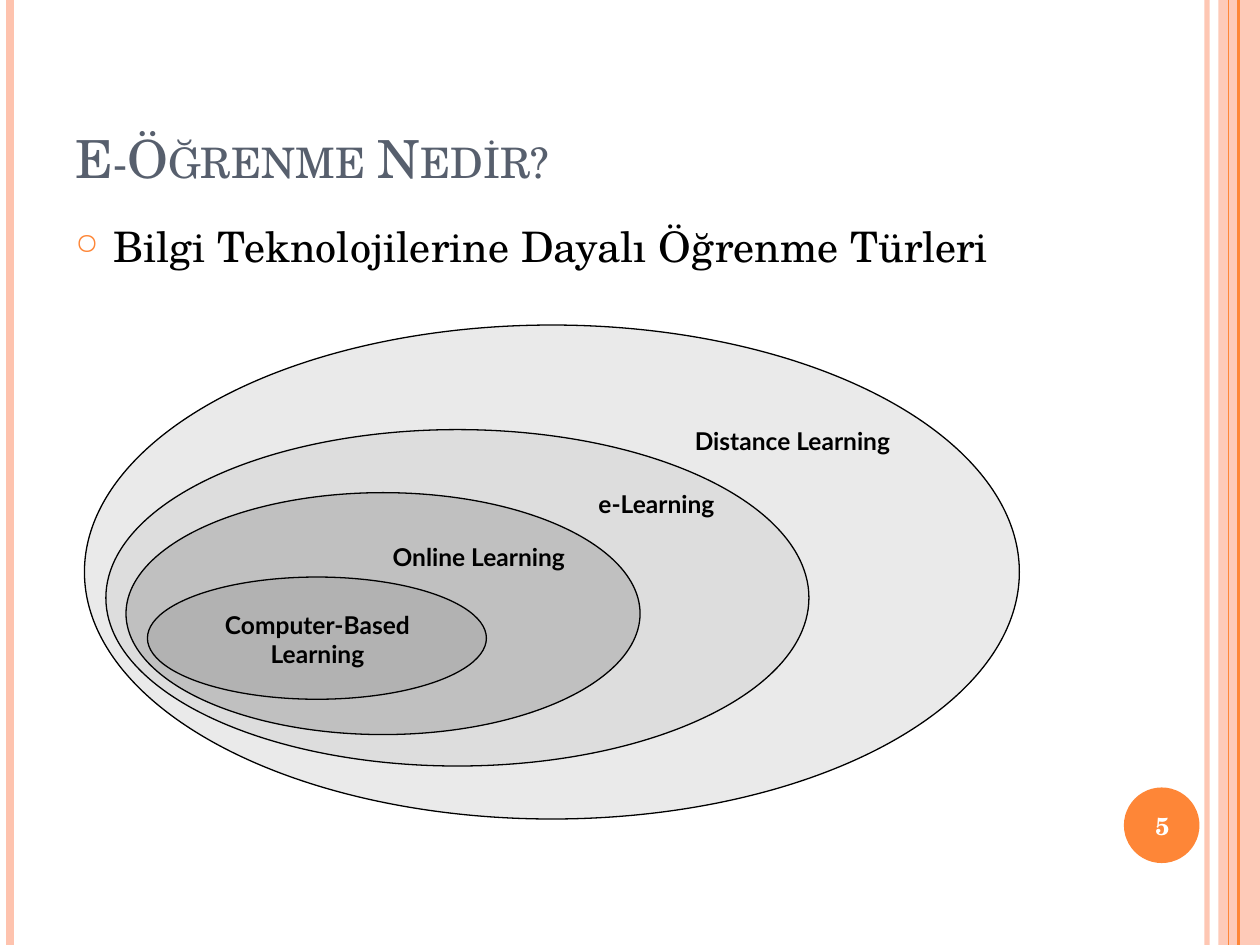
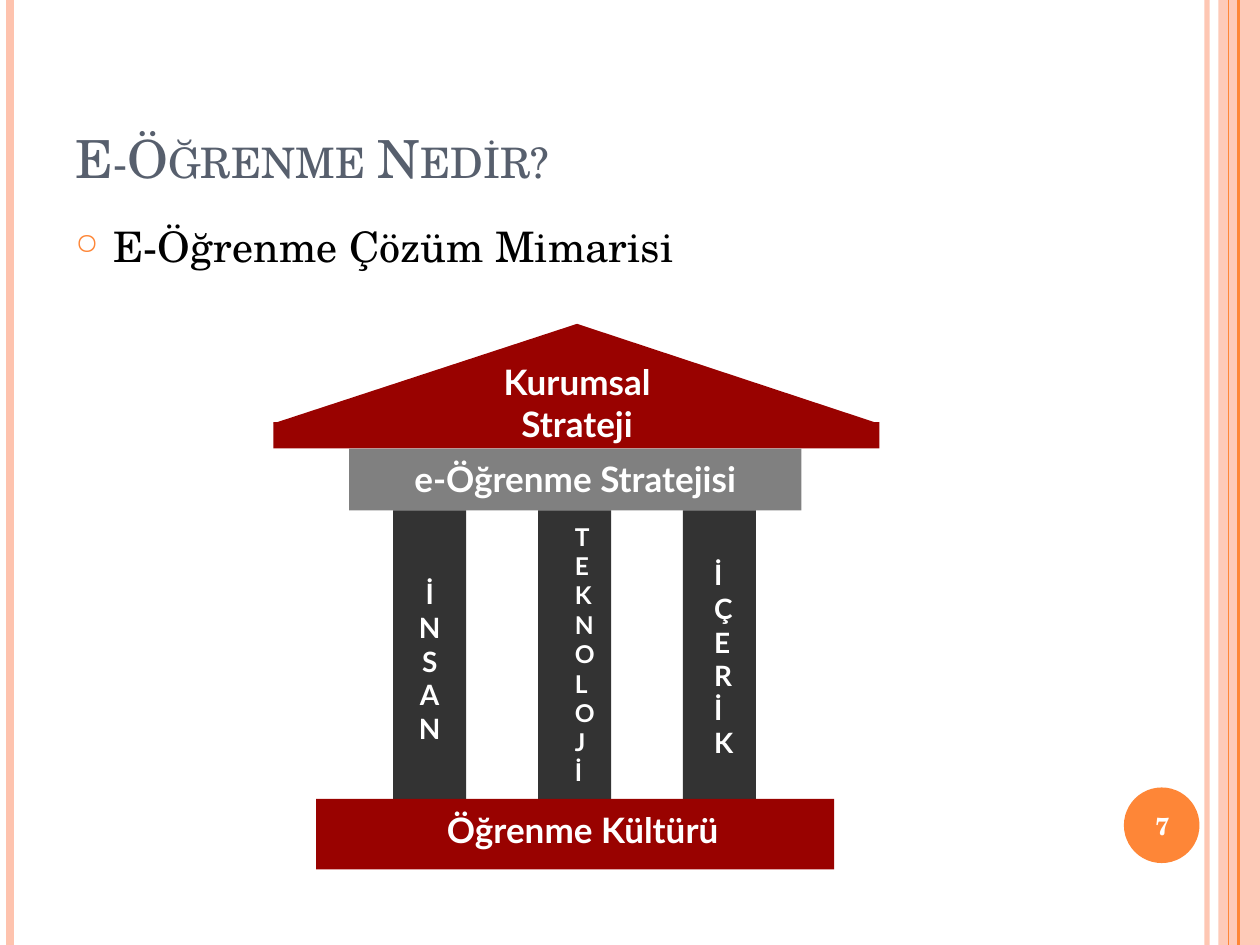
from lxml import etree
from pptx import Presentation
from pptx.dml.color import RGBColor
from pptx.enum import lang, shapes, text
from pptx.oxml import ns

PX = 9144
WIDTH, HEIGHT = 1000, 750
SERIF, SANS = "TeX Gyre Schola", "Lato"
ORANGE, PEACH, SLATE = "FE8637", "FEC3AE", "575F6D"
BLACK, WHITE, RED, GREY, CHARCOAL = "000000", "FFFFFF", "990200", "808080", "333333"
LEFT, CENTER = text.PP_ALIGN.LEFT, text.PP_ALIGN.CENTER
TOP, MIDDLE, BOTTOM = text.MSO_ANCHOR.TOP, text.MSO_ANCHOR.MIDDLE, text.MSO_ANCHOR.BOTTOM
OVAL, RECTANGLE = shapes.MSO_SHAPE.OVAL, shapes.MSO_SHAPE.RECTANGLE


def paint(fill, colour, opacity=100):
    fill.solid()
    fill.fore_color.rgb = RGBColor.from_string(colour)
    if opacity < 100:
        swatch = fill._xPr.find(".//" + ns.qn("a:srgbClr"))
        etree.SubElement(swatch, ns.qn("a:alpha"), val=str(opacity * 1000))


def write(page, bounds, words, size, colour, font=SANS, bold=True, align=CENTER, anchor=TOP):
    box = page.shapes.add_textbox(*[length * PX for length in bounds])
    box.text_frame.word_wrap = True
    box.text_frame.vertical_anchor = anchor
    para = box.text_frame.paragraphs[0]
    para.alignment = align
    for index, line in enumerate(words.split("\n")):
        if index:
            para.add_line_break()
        span = para.add_run()
        span.text = line
        span.font.name = font
        span.font.size = size * 12700
        span.font.bold = bold
        span.font.language_id = lang.MSO_LANGUAGE_ID.TURKISH
        paint(span.font.fill, colour)
    return para


learning_types = [
    (OVAL, (67, 258, 742, 392), "EAEAEA", (525, 333, 208, 33), "Distance Learning", 14, CENTER),
    (OVAL, (84, 341, 558, 267), "DDDDDD", (450, 383, 142, 33), "e-Learning", 14, CENTER),
    (OVAL, (100, 391, 408, 192), "C0C0C0", (284, 425, 192, 33), "Online Learning", 14, CENTER),
    (OVAL, (117, 458, 269, 97), "B2B2B2", (156, 479, 192, 57), "Computer-Based\nLearning", 14, CENTER),
]
temple = [
    (RECTANGLE, (217, 335, 481, 21), RED, (364, 281, 188, 77), "Kurumsal Strateji", 20, CENTER),
    (RECTANGLE, (277, 356, 359, 49), GREY, (294, 358, 325, 44), "e-Öğrenme Stratejisi", 20, CENTER),
]
pillars = [
    ((322, 453, 38, 182), "İNSAN", 16, CENTER),
    ((447, 409, 19, 224), "TEKNOLOJİ", 14, CENTER),
    ((557, 438, 31, 204), "İÇERİK", 16, LEFT),
]
for index, label in enumerate(pillars):
    temple.append((RECTANGLE, (312 + 115 * index, 405, 58, 229), CHARCOAL, *label))
temple.append((RECTANGLE, (251, 634, 411, 56), RED, (319, 637, 287, 44), "Öğrenme Kültürü", 20, CENTER))

topics = [
    ("5", "Bilgi Teknolojilerine Dayalı Öğrenme Türleri", learning_types, BLACK, None),
    ("7", "E-Öğrenme Çözüm Mimarisi", temple, None, [(458, 257), (217, 336), (697, 336)]),
]
bands = [
    (958, PEACH, 3, 93),
    (8, PEACH, 4.5, 100),
    (983, ORANGE, 1.5, 100),
    (975, ORANGE, 0.75, 100),
]

deck = Presentation()
deck.slide_width, deck.slide_height = WIDTH * PX, HEIGHT * PX

for number, topic, pieces, outline, roof in topics:
    page = deck.slides.add_slide(deck.slide_layouts[6])

    margin = page.shapes.add_shape(RECTANGLE, 967 * PX, 0, 33 * PX, HEIGHT * PX)
    badge = page.shapes.add_shape(OVAL, 892 * PX, 625 * PX, 60 * PX, 60 * PX)
    for shape, colour, opacity in [(margin, PEACH, 87), (badge, ORANGE, 100)]:
        shape.shadow.inherit = False
        shape.line.fill.background()
        paint(shape.fill, colour, opacity)

    for x, colour, weight, opacity in bands:
        band = page.shapes.add_connector(shapes.MSO_CONNECTOR.STRAIGHT, x * PX, 0, x * PX, HEIGHT * PX)
        band.line.width = int(weight * 12700)
        paint(band.line.fill, colour, opacity)
        etree.SubElement(band._element.spPr, ns.qn("a:effectLst"))

    title = write(page, (50, 30, 817, 125), "E-Öğrenme Nedir?", 30, SLATE, SERIF, False, LEFT, BOTTOM)
    title.runs[0].font._element.set("cap", "small")
    write(page, (889, 627, 67, 57), number, 14, WHITE, SERIF, anchor=MIDDLE)

    heading = write(page, (50, 170, 850, 110), topic, 24, BLACK, SERIF, False, LEFT)
    properties = heading._p.get_or_add_pPr()
    properties.set("marL", str(30 * PX))
    properties.set("indent", str(-30 * PX))
    tint = etree.SubElement(properties, ns.qn("a:buClr"))
    etree.SubElement(tint, ns.qn("a:srgbClr"), val=ORANGE)
    etree.SubElement(properties, ns.qn("a:buSzPct"), val="70000")
    etree.SubElement(properties, ns.qn("a:buChar"), char="○")

    if roof:
        builder = page.shapes.build_freeform(*roof[0], scale=PX)
        builder.add_line_segments(roof[1:], close=True)
        gable = builder.convert_to_shape()
        gable.shadow.inherit = False
        gable.line.fill.background()
        paint(gable.fill, RED)

    for kind, bounds, colour, label_bounds, label, size, align in pieces:
        piece = page.shapes.add_shape(kind, *[length * PX for length in bounds])
        piece.shadow.inherit = False
        paint(piece.fill, colour)
        if outline:
            paint(piece.line.fill, outline)
            piece.line.width = 9525
        else:
            piece.line.fill.background()
        if not roof:
            continue
        write(page, label_bounds, label, size, WHITE, align=align)

    if not roof:
        for kind, bounds, colour, label_bounds, label, size, align in pieces:
            write(page, label_bounds, label, size, BLACK, align=align)

deck.save("out.pptx")
